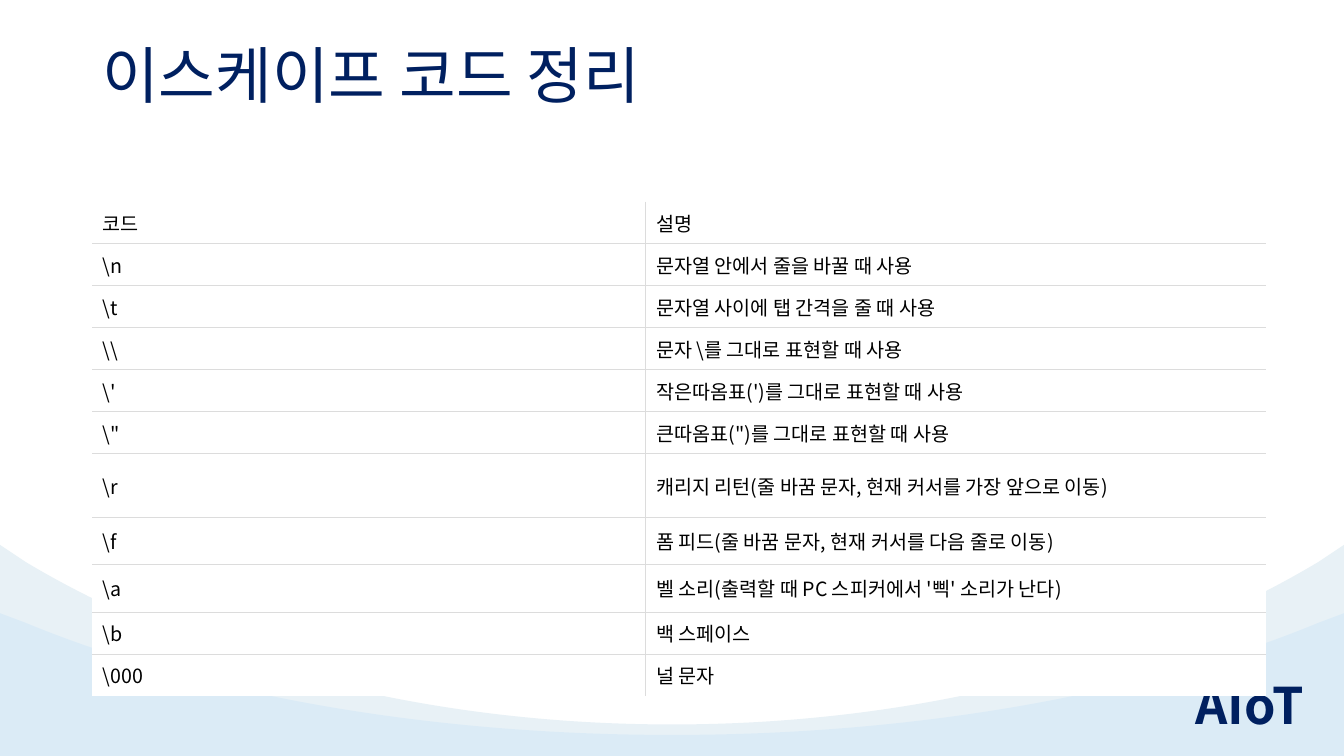
from pptx import Presentation
from pptx.dml.color import RGBColor
from pptx.enum.text import MSO_ANCHOR as Anchor
from pptx.oxml.ns import qn
from pptx.util import Emu, Pt
from lxml.etree import SubElement

# Content
FONT = "Noto Sans CJK KR"
NAVY, BLACK, WHITE, RULE = "002060", "000000", "FFFFFF", "DCDCDC"
TITLE = "이스케이프 코드 정리"
MARK = "AIoT"
ROWS = [  # code, description, row height
    ("코드", "설명", 40),
    ("\\n", "문자열 안에서 줄을 바꿀 때 사용", 40),
    ("\\t", "문자열 사이에 탭 간격을 줄 때 사용", 40),
    ("\\\\", "문자 \\를 그대로 표현할 때 사용", 40),
    ("\\'", "작은따옴표(')를 그대로 표현할 때 사용", 40),
    ('\\"', '큰따옴표(")를 그대로 표현할 때 사용', 40),
    ("\\r", "캐리지 리턴(줄 바꿈 문자, 현재 커서를 가장 앞으로 이동)", 61),
    ("\\f", "폼 피드(줄 바꿈 문자, 현재 커서를 다음 줄로 이동)", 45),
    ("\\a", "벨 소리(출력할 때 PC 스피커에서 '삑' 소리가 난다)", 45),
    ("\\b", "백 스페이스", 40),
    ("\\000", "널 문자", 40),
]
COLS = (527, 591)
WIDTH, HEIGHT = 1280, 720
WAVES = [  # left edge, curve points down to the middle, colour, opacity in %
    ((0, 519), [(24, 535), (186, 632), (403, 690), (640, 690)], "E8F1F6", 100),
    ((0, 584), [(24, 593), (186, 660), (403, 700), (640, 700)], "7AC2F9", 11),
]


def px(n):
    return Emu(round(n * 9525))


def rgb(code):
    return RGBColor.from_string(code)


def write(tf, text, size, color, bold=False):
    p = tf.paragraphs[0]
    p.text = text
    p.font.name, p.font.size, p.font.bold = FONT, Pt(size), bold
    p.font.color.rgb = rgb(color)
    rPr = p._p.pPr.find(qn("a:defRPr"))
    rPr.set("kern", "0")
    SubElement(rPr, qn("a:ea"), typeface=FONT)
    return p


def add_text(box, text, size, color, bold=False, wrap=True):
    tf = s.shapes.add_textbox(*map(px, box)).text_frame
    tf.word_wrap = wrap
    return write(tf, text, size, color, bold)


def add_wave(edge, curve, color, opacity):
    left = [edge] + curve
    right = [(WIDTH - x, y) for x, y in reversed(left[:-1])]
    outline = left + right + [(WIDTH, HEIGHT), (0, HEIGHT)]
    outline = [(px(x), px(y)) for x, y in outline]
    builder = s.shapes.build_freeform(*outline[0])
    builder.add_line_segments(outline[1:], close=True)
    sp = builder.convert_to_shape()
    # Turn the control points of each half into one Bezier segment
    geometry = sp._element.find(".//" + qn("a:path"))
    lines = geometry.findall(qn("a:lnTo"))
    for i in (1, 4):
        bezier = SubElement(geometry, qn("a:cubicBezTo"))
        lines[i].addprevious(bezier)
        for line in lines[i:i + 3]:
            bezier.append(line[0])
            geometry.remove(line)
    sp.shadow.inherit = False
    sp.line.fill.background()
    sp.fill.solid()
    sp.fill.fore_color.rgb = rgb(color)
    if opacity < 100:
        clr = sp.fill._xPr.find(qn("a:solidFill"))[0]
        SubElement(clr, qn("a:alpha"), val=str(opacity * 1000))


def add_borders(cell, inner):
    tcPr = cell._tc.get_or_add_tcPr()
    for side in "LRTB":
        ln = SubElement(tcPr, qn("a:ln" + side), w=str(Pt(0.75)))
        if side in inner:
            fill = SubElement(ln, qn("a:solidFill"))
            SubElement(fill, qn("a:srgbClr"), val=RULE)
        else:
            SubElement(ln, qn("a:noFill"))


prs = Presentation()
prs.slide_width, prs.slide_height = px(WIDTH), px(HEIGHT)
s = prs.slides.add_slide(prs.slide_layouts[6])

# Background waves and corner mark
for wave in WAVES:
    add_wave(*wave)
add_text((1129, 637, 127, 68), MARK, 36, NAVY, bold=True, wrap=False)

# Title
add_text((88, 38, 1104, 139), TITLE, 44, NAVY).line_spacing = 0.9

# Table with rules between cells only
heights = [row[-1] for row in ROWS]
frame = (88, 192, sum(COLS), sum(heights))
table = s.shapes.add_table(len(ROWS), len(COLS), *map(px, frame)).table
table.first_row = table.horz_banding = False
for column, width in zip(table.columns, COLS):
    column.width = px(width)
for r, (code, description, height) in enumerate(ROWS):
    table.rows[r].height = px(height)
    for c, text in enumerate((code, description)):
        cell = table.cell(r, c)
        inner = "R" if c == 0 else "L"
        inner += "T" if r > 0 else ""
        inner += "B" if r < len(ROWS) - 1 else ""
        add_borders(cell, inner)
        cell.fill.solid()
        cell.fill.fore_color.rgb = rgb(WHITE)
        cell.vertical_anchor = Anchor.MIDDLE
        cell.margin_left = cell.margin_right = px(10)
        cell.margin_top = cell.margin_bottom = px(6)
        write(cell.text_frame, text, 14, BLACK)

prs.save("out.pptx")
